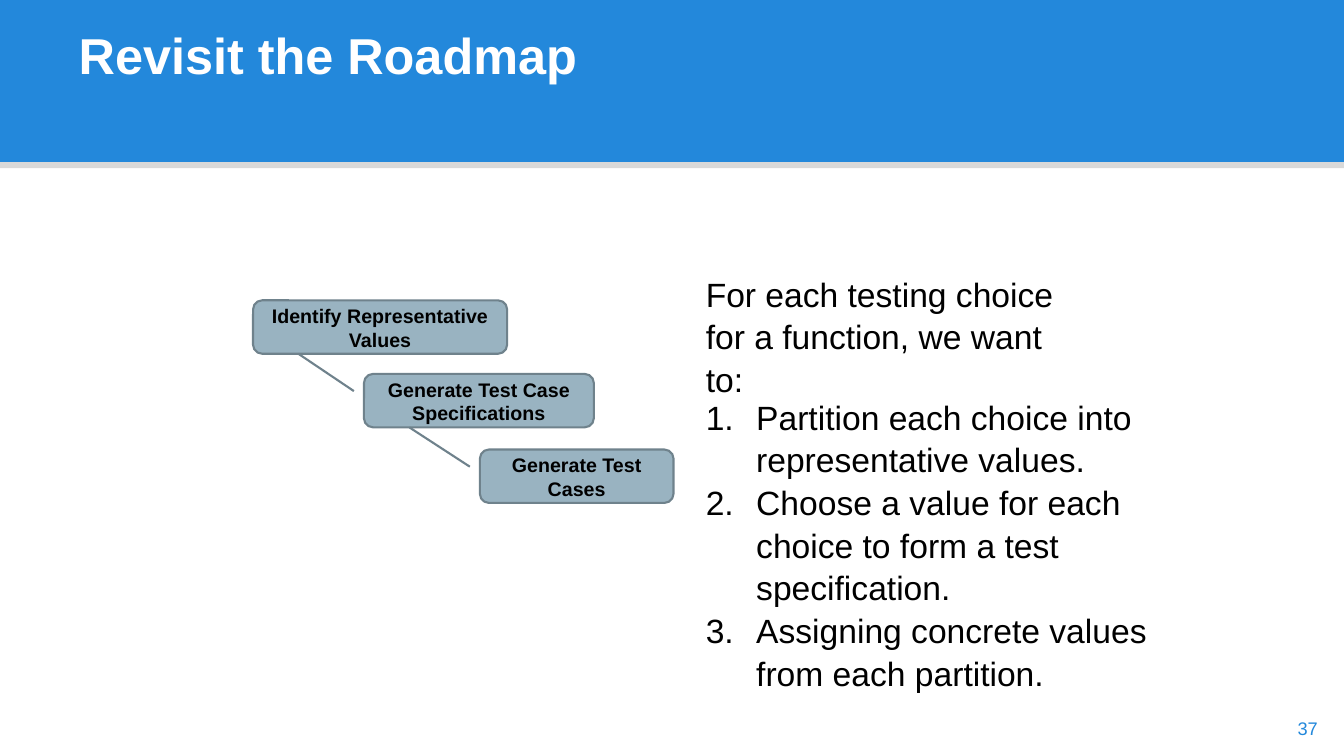
from lxml import etree
from pptx import Presentation
from pptx.dml.color import RGBColor
from pptx.enum.shapes import MSO_CONNECTOR as LINE, MSO_SHAPE as SHAPE
from pptx.enum.text import MSO_ANCHOR as ANCHOR, MSO_AUTO_SIZE as AUTO, PP_ALIGN as ALIGN
from pptx.oxml.ns import qn
from pptx.util import Inches, Pt

BLUE = RGBColor(0x23, 0x88, 0xDB)
GREY = RGBColor(0xD9, 0xD9, 0xD9)
STEEL = RGBColor(0x99, 0xB3, 0xC1)
EDGE = RGBColor(0x6F, 0x82, 0x8C)
BLACK = RGBColor(0, 0, 0)
WHITE = RGBColor(0xFF, 0xFF, 0xFF)

deck = Presentation()
deck.slide_width, deck.slide_height = Inches(13.33), Inches(7.5)
slide = deck.slides.add_slide(deck.slide_layouts[3])
shapes = slide.shapes
title, intro, steps = slide.placeholders


def place(box, x, y, w, h, anchor=ANCHOR.TOP):
    box.left, box.top, box.width, box.height = map(Inches, (x, y, w, h))
    frame = box.text_frame
    frame.margin_left = frame.margin_right = frame.margin_bottom = 0
    frame.margin_top = Inches(0.01)
    frame.word_wrap, frame.auto_size = True, AUTO.NONE
    frame.vertical_anchor = anchor
    return frame


def style(para, size, color, bold=False, align=ALIGN.LEFT, gap=1.0):
    para.alignment, para.line_spacing = align, gap
    para.space_before = Pt(0)
    font = para.font
    font.name, font.size, font.bold = "Arial", Pt(size), bold
    font.color.rgb = color


# Header bands, behind the title
for spot, (y, h, color) in enumerate([(0, 1.61, BLUE), (1.61, 0.06, GREY)]):
    band = shapes.add_shape(SHAPE.RECTANGLE, 0, Inches(y), deck.slide_width, Inches(h))
    band.shadow.inherit = False
    band.fill.solid()
    band.fill.fore_color.rgb = color
    band.line.fill.background()
    shapes._spTree.insert(2 + spot, band._element)

# Title
frame = place(title, 0.78, 0.23, 11.79, 0.61)
frame.text = "Revisit the Roadmap"
style(frame.paragraphs[0], 36, WHITE, bold=True)

# Roadmap boxes, each linked to the next
road = [
    (2.51, 2.98, 2.52, "Identify Representative\vValues"),
    (3.61, 3.71, 2.28, "Generate Test Case\vSpecifications"),
    (4.76, 4.46, 1.92, "Generate Test\vCases"),
]
TALL = 0.53
for x, y, w, text in road:
    box = shapes.add_shape(SHAPE.ROUNDED_RECTANGLE, 0, 0, 0, 0)
    frame = place(box, x, y, w, TALL, ANCHOR.MIDDLE)
    box.adjustments[0] = 0.17
    box.shadow.inherit = False
    box.fill.solid()
    box.fill.fore_color.rgb = STEEL
    box.line.color.rgb, box.line.width = EDGE, Pt(1.5)
    frame.text = text
    style(frame.paragraphs[0], 14, BLACK, True, ALIGN.CENTER, Pt(17))

for (x, y, *_), (right, low, *_) in zip(road, road[1:]):
    ends = (x + 0.45, y + TALL, right - 0.1, low + 0.17)
    link = shapes.add_connector(LINE.STRAIGHT, *map(Inches, ends))
    link.line.color.rgb, link.line.width = EDGE, Pt(1.5)
    etree.SubElement(link._element.spPr, qn("a:effectLst"))

# Introduction
frame = place(intro, 7, 2.68, 3.65, 1.23)
frame.text = "For each testing choice for a function, we want to:"
para = frame.paragraphs[0]
props = para._p.get_or_add_pPr()
props.set("marL", "0")
props.set("indent", "0")
etree.SubElement(props, qn("a:buNone"))
style(para, 24, BLACK, gap=1.06)

# Numbered steps
frame = place(steps, 7, 3.9, 4.8, 2.87)
frame.text = "\n".join([
    "Partition each choice into representative values.",
    "Choose a value for each choice to form a test specification.",
    "Assigning concrete values from each partition.",
])
for para in frame.paragraphs:
    props = para._p.get_or_add_pPr()
    props.set("marL", str(Inches(0.5)))
    props.set("indent", str(-Inches(0.5)))
    etree.SubElement(props, qn("a:buFont"), typeface="Arial")
    etree.SubElement(props, qn("a:buAutoNum"), type="arabicPeriod")
    style(para, 24, BLACK, gap=1.06)

# Page number
frame = place(shapes.add_textbox(0, 0, 0, 0), 12.87, 7.11, 0.38, 0.21)
frame.text = "37"
style(frame.paragraphs[0], 13, BLUE)

deck.save("out.pptx")
